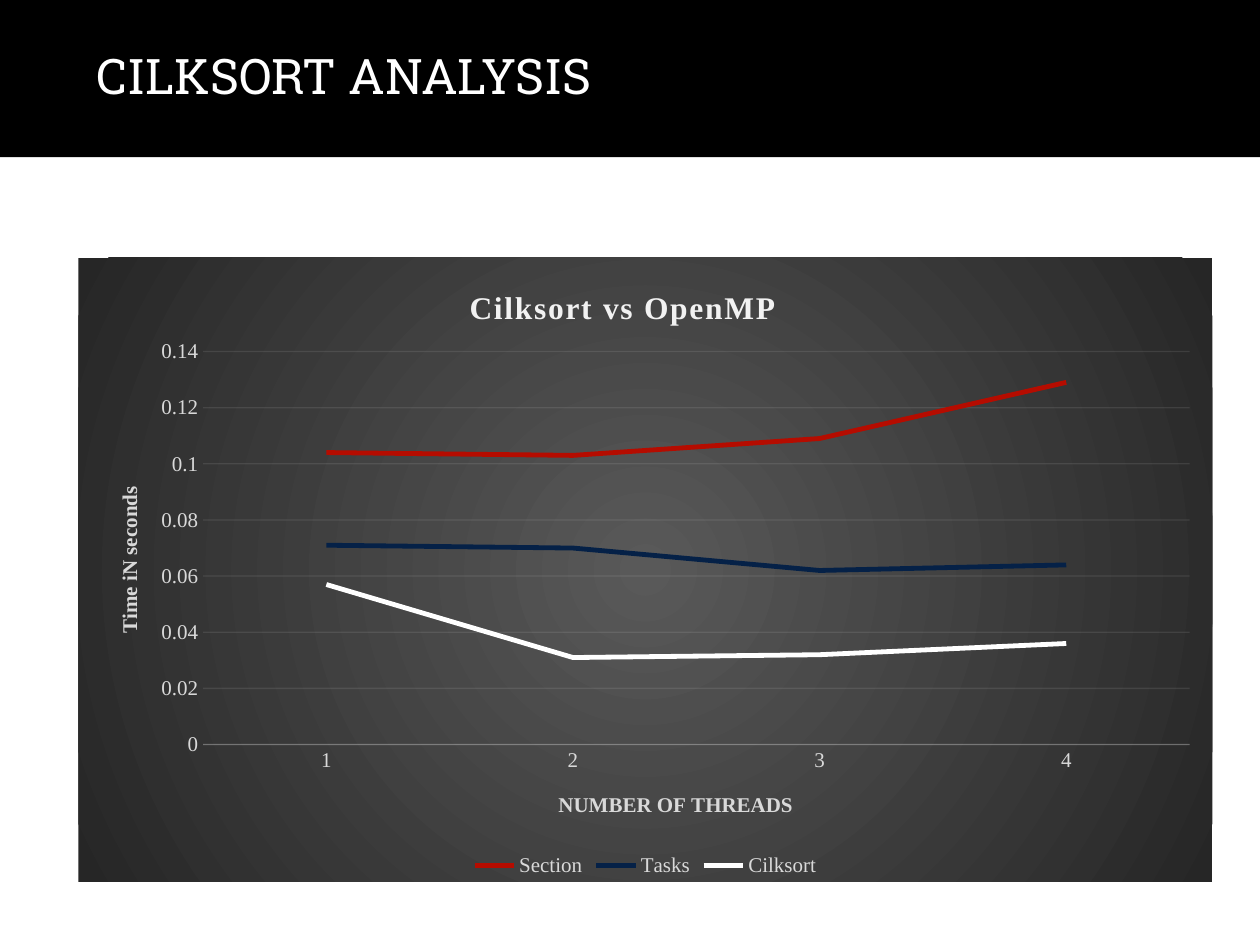
import pptx
import pptx.chart.data
import pptx.dml.color
import pptx.enum.chart
import pptx.enum.shapes
import pptx.enum.text
import pptx.oxml
import pptx.oxml.ns
import pptx.util

Cm = pptx.util.Cm
Pt = pptx.util.Pt
qn = pptx.oxml.ns.qn
NAMESPACES = pptx.oxml.ns.nsdecls("c", "a")
COLOURS = {
    "black": "000000", "white": "FFFFFF", "title": "F2F2F2", "label": "D9D9D9",
    "centre": "595959", "edge": "262626",
    "Section": "B50C00", "Tasks": "052147", "Cilksort": "FFFFFF",
}
SERIES = {
    "Section": (0.104, 0.103, 0.109, 0.129),
    "Tasks": (0.071, 0.07, 0.062, 0.064),
    "Cilksort": (0.057, 0.031, 0.032, 0.036),
}


def style_font(font, size, colour, bold=False, name="Times New Roman"):
    font.name = name
    font.size = Pt(size)
    font.bold = bold
    font.color.rgb = pptx.dml.color.RGBColor.from_string(COLOURS[colour])


def place(element, **fractions):
    """Set a manual layout, in fractions of the chart's size."""
    target = '<c:layoutTarget val="inner"/>' if "w" in fractions else ""
    modes = '<c:xMode val="edge"/><c:yMode val="edge"/>'
    values = "".join(f'<c:{key} val="{value}"/>' for key, value in fractions.items())
    layout = pptx.oxml.parse_xml(
        f"<c:layout {NAMESPACES}><c:manualLayout>{target}{modes}{values}"
        "</c:manualLayout></c:layout>")
    for old in element.findall(qn("c:layout")):
        element.remove(old)
    text = element.find(qn("c:tx"))
    element.insert(0 if text is None else 1, layout)


presentation = pptx.Presentation()
presentation.slide_width = Cm(25.4)
presentation.slide_height = Cm(19.05)
slide = presentation.slides.add_slide(presentation.slide_layouts[6])

# Heading band
band = slide.shapes.add_shape(
    pptx.enum.shapes.MSO_SHAPE.RECTANGLE, 0, 0, presentation.slide_width, Cm(3.17))
band.shadow.inherit = False
band.fill.solid()
band.fill.fore_color.rgb = pptx.dml.color.RGBColor.from_string(COLOURS["black"])
band.line.fill.background()

heading = slide.shapes.add_textbox(Cm(1.7), Cm(-0.08), Cm(20.88), Cm(3.17))
heading.text_frame.word_wrap = True
heading.text_frame.vertical_anchor = pptx.enum.text.MSO_ANCHOR.MIDDLE
heading.text_frame.text = "CILKSORT ANALYSIS"
style_font(heading.text_frame.paragraphs[0].runs[0].font, 28, "white", name="Roboto Slab")

# Line chart
chart_data = pptx.chart.data.CategoryChartData()
chart_data.categories = ["1", "2", "3", "4"]
for name, values in SERIES.items():
    chart_data.add_series(name, values)
chart = slide.shapes.add_chart(
    pptx.enum.chart.XL_CHART_TYPE.LINE, Cm(1.58), Cm(5.2), Cm(22.86), Cm(12.58),
    chart_data).chart
style_font(chart.font, 10, "black")
chart.plots[0].vary_by_categories = False
for series in chart.plots[0].series:
    series.smooth = False
    series.format.line.width = Pt(2.75)
    series.format.line.color.rgb = pptx.dml.color.RGBColor.from_string(COLOURS[series.name])

# Radial background of the chart
stops = "".join(
    f'<a:gs pos="{position}"><a:srgbClr val="{COLOURS[name]}"/></a:gs>'
    for position, name in ((0, "centre"), (100000, "edge")))
background = pptx.oxml.parse_xml(
    f'<c:spPr {NAMESPACES}><a:gradFill><a:gsLst>{stops}</a:gsLst><a:path path="circle">'
    '<a:fillToRect l="50000" t="50000" r="50000" b="50000"/></a:path></a:gradFill>'
    "<a:ln><a:noFill/></a:ln></c:spPr>")
chart_space = chart.element
chart_space.find(qn("c:chart")).addnext(background)
place(chart_space.find(qn("c:chart")).find(qn("c:plotArea")), x=0.11, y=0.15, w=0.87, h=0.63)

# Titles
chart.has_title = True
for owner, text, size, colour, x, y in (
    (chart.chart_title, "Cilksort vs OpenMP", 18, "title", 0.34, 0.04),
    (chart.category_axis.axis_title, "NUMBER OF THREADS", 12, "label", 0.42, 0.85),
    (chart.value_axis.axis_title, "Time iN seconds", 12, "label", 0.03, 0.36),
):
    owner.text_frame.text = text
    run = owner.text_frame.paragraphs[0].runs[0]
    style_font(run.font, size, colour, bold=True)
    if owner is not None and size == 18:
        run.font._element.set("spc", "100")
    place(owner._element, x=x, y=y)

# Axes
value_axis = chart.value_axis
value_axis.minimum_scale, value_axis.maximum_scale, value_axis.major_unit = 0, 0.14, 0.02
value_axis.has_major_gridlines = True
value_axis.format.line.fill.background()
for axis in (chart.category_axis, value_axis):
    axis.major_tick_mark = pptx.enum.chart.XL_TICK_MARK.NONE
    style_font(axis.tick_labels.font, 12, "label")
value_axis.tick_labels.number_format = "General"
value_axis.tick_labels.number_format_is_linked = False
for line, opacity in ((chart.category_axis.format.line, 25000),
                      (value_axis.major_gridlines.format.line, 10000)):
    line.width = Pt(0.75)
    line.color.rgb = pptx.dml.color.RGBColor.from_string(COLOURS["title"])
    colour = line.fill._xPr.find(qn("a:solidFill")).find(qn("a:srgbClr"))
    colour.append(pptx.oxml.parse_xml(f'<a:alpha {NAMESPACES} val="{opacity}"/>'))

# Legend
chart.has_legend = True
chart.legend.position = pptx.enum.chart.XL_LEGEND_POSITION.BOTTOM
chart.legend.include_in_layout = False
style_font(chart.legend.font, 12, "label")

presentation.save("out.pptx")
